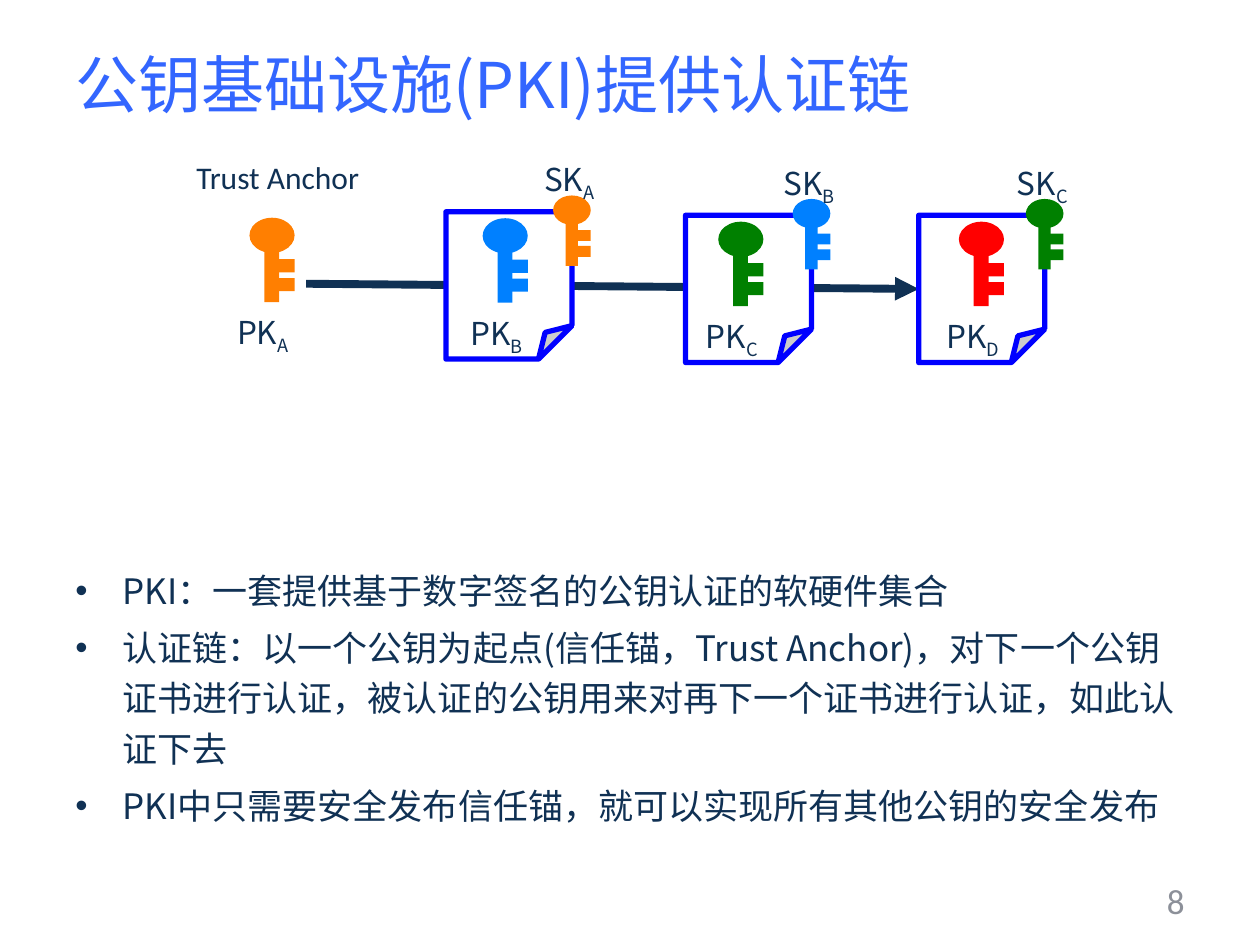
"""Build a slide explaining how a public key infrastructure forms a chain of trust."""
from dataclasses import dataclass

from lxml import etree
from pptx import Presentation
from pptx.dml.color import RGBColor
from pptx.enum.shapes import MSO_CONNECTOR, MSO_SHAPE
from pptx.enum.text import MSO_ANCHOR, MSO_AUTO_SIZE, PP_ALIGN
from pptx.oxml.ns import qn
from pptx.util import Cm, Pt

STRAIGHT = MSO_CONNECTOR.STRAIGHT
ELLIPSE, RECTANGLE, FOLDED = MSO_SHAPE.OVAL, MSO_SHAPE.RECTANGLE, MSO_SHAPE.FOLDED_CORNER
LEFT, RIGHT = PP_ALIGN.LEFT, PP_ALIGN.RIGHT
MIDDLE = MSO_ANCHOR.MIDDLE
GROW = MSO_AUTO_SIZE.SHAPE_TO_FIT_TEXT

SANS, LATIN = "Noto Sans CJK SC", "Calibri"
COLORS = {
    "title": "3366FF", "text": "103154", "number": "8C9099",
    "border": "0000FF", "paper": "FFFFFF",
    "A": "FF7F01", "B": "0080FF", "C": "008000", "D": "FF0000",
}
KEY_WIDTH, SIGNER_WIDTH = 0.91, 0.76
KEY_PARTS = (
    (ELLIPSE, 0, 0, 1, 0.78),
    (RECTANGLE, 0.33, 0.57, 0.33, 1.3),
    (RECTANGLE, 0.5, 1.34, 0.5, 0.29),
    (RECTANGLE, 0.5, 0.92, 0.5, 0.29),
)
BULLETS = (
    "PKI：一套提供基于数字签名的公钥认证的软硬件集合",
    "认证链：以一个公钥为起点(信任锚，Trust Anchor)，对下一个公钥证书进行认证，"
    "被认证的公钥用来对再下一个证书进行认证，如此认证下去",
    "PKI中只需要安全发布信任锚，就可以实现所有其他公钥的安全发布",
)


@dataclass(frozen=True)
class Certificate:
    owner: str
    signer: str
    left: float
    top: float
    key_left: float


CERTIFICATES = (
    Certificate("B", "A", 8.99, 4.27, 9.73),
    Certificate("C", "B", 13.82, 4.34, 14.48),
    Certificate("D", "C", 18.52, 4.34, 19.33),
)


def color(name: str) -> RGBColor:
    return RGBColor.from_string(COLORS[name])


def style(para, size: float, tint: str, face: str = SANS) -> None:
    font = para.font
    font.size, font.name = Pt(size), face
    font.color.rgb = color(tint)
    defaults = para._p.pPr.find(qn("a:defRPr"))
    etree.SubElement(defaults, qn("a:ea")).set("typeface", face)


def add_box(page, left: float, top: float, width: float, height: float, wrap: bool = True):
    box = page.shapes.add_textbox(Cm(left), Cm(top), Cm(width), Cm(height))
    box.text_frame.word_wrap = wrap
    return box.text_frame


def add_label(page, text: str, left: float, top: float, width: float = 1.6,
              subscript: str = "", face: str = SANS) -> None:
    frame = add_box(page, left, top, width, 1.02, wrap=False)
    frame.auto_size = GROW
    para = frame.paragraphs[0]
    para.add_run().text = text
    if subscript:
        span = para.add_run()
        span.text = subscript
        span._r.get_or_add_rPr().set("baseline", "-25000")
    style(para, 18, "text", face)


def add_key(page, owner: str, left: float, top: float, size: float) -> None:
    group = page.shapes.add_group_shape()
    for kind, x, y, width, height in KEY_PARTS:
        part = group.shapes.add_shape(kind, Cm(left + x * size), Cm(top + y * size),
                                      Cm(width * size), Cm(height * size))
        part.shadow.inherit = False
        part.fill.solid()
        part.fill.fore_color.rgb = color(owner)
        part.line.fill.background()


def add_public_key(page, owner: str, left: float, top: float) -> None:
    add_key(page, owner, left, top, KEY_WIDTH)
    add_label(page, "PK", left - 0.5, top + 1.8, subscript=owner)


def add_paper(page, certificate: Certificate):
    paper = page.shapes.add_shape(FOLDED, Cm(certificate.left), Cm(certificate.top),
                                  Cm(2.54), Cm(2.97))
    geometry = paper._element.spPr.find(qn("a:prstGeom"))
    guide = etree.SubElement(geometry.get_or_add_avLst(), qn("a:gd"))
    guide.set("name", "adj")
    guide.set("fmla", "val 26500")
    paper.shadow.inherit = False
    paper.fill.solid()
    paper.fill.fore_color.rgb = color("paper")
    paper.line.color.rgb = color("border")
    paper.line.width = Pt(3)
    return paper


def add_keys(page, certificate: Certificate) -> None:
    left, top = certificate.left + 2.16, certificate.top - 0.33
    add_public_key(page, certificate.owner, certificate.key_left, certificate.top + 0.13)
    add_key(page, certificate.signer, left, top, SIGNER_WIDTH)
    add_label(page, "SK", left - 0.43, top - 0.83, subscript=certificate.signer)


def add_arrow(page):
    arrow = page.shapes.add_connector(STRAIGHT, Cm(6.17), Cm(5.72), Cm(18.52), Cm(5.82))
    arrow.line.color.rgb = color("text")
    arrow.line.width = Pt(4.5)
    etree.SubElement(arrow.line._get_or_add_ln(), qn("a:tailEnd")).set("type", "triangle")
    etree.SubElement(arrow._element.spPr, qn("a:effectLst"))
    return arrow


def add_title(page) -> None:
    title = page.shapes.title
    title.left, title.top, title.width, title.height = Cm(1.27), Cm(0.08), Cm(22.86), Cm(3.18)
    title.text_frame.text = "公钥基础设施(PKI)提供认证链"
    title.text_frame.vertical_anchor = MIDDLE
    para = title.text_frame.paragraphs[0]
    para.alignment = LEFT
    style(para, 36, "title")


def add_bullets(page) -> None:
    frame = add_box(page, 1.27, 11.18, 22.86, 7.11)
    frame.text = "\n".join(BULLETS)
    for para in frame.paragraphs:
        para.line_spacing = 1.2
        para.space_before = Pt(4)
        properties = para._p.get_or_add_pPr()
        properties.set("marL", str(Cm(0.95)))
        properties.set("indent", str(-Cm(0.95)))
        etree.SubElement(properties, qn("a:buFont")).set("typeface", "Arial")
        etree.SubElement(properties, qn("a:buChar")).set("char", "•")
        style(para, 20, "text")


def add_page_number(page) -> None:
    frame = add_box(page, 18.21, 17.65, 5.92, 1.02)
    frame.text = "8"
    frame.vertical_anchor = MIDDLE
    para = frame.paragraphs[0]
    para.alignment = RIGHT
    style(para, 20, "number", LATIN)


def main() -> None:
    deck = Presentation()
    deck.slide_width, deck.slide_height = Cm(25.4), Cm(19.05)
    page = deck.slides.add_slide(deck.slide_layouts[5])
    add_title(page)
    arrow = add_arrow(page)
    papers = [add_paper(page, certificate) for certificate in CERTIFICATES]
    arrow.end_connect(papers[-1], 1)
    add_bullets(page)
    add_page_number(page)
    add_public_key(page, "A", 5.03, 4.39)
    for certificate in CERTIFICATES:
        add_keys(page, certificate)
    add_label(page, "Trust Anchor", 3.71, 3.07, width=3.89, face=LATIN)
    deck.save("out.pptx")


if __name__ == "__main__":
    main()
